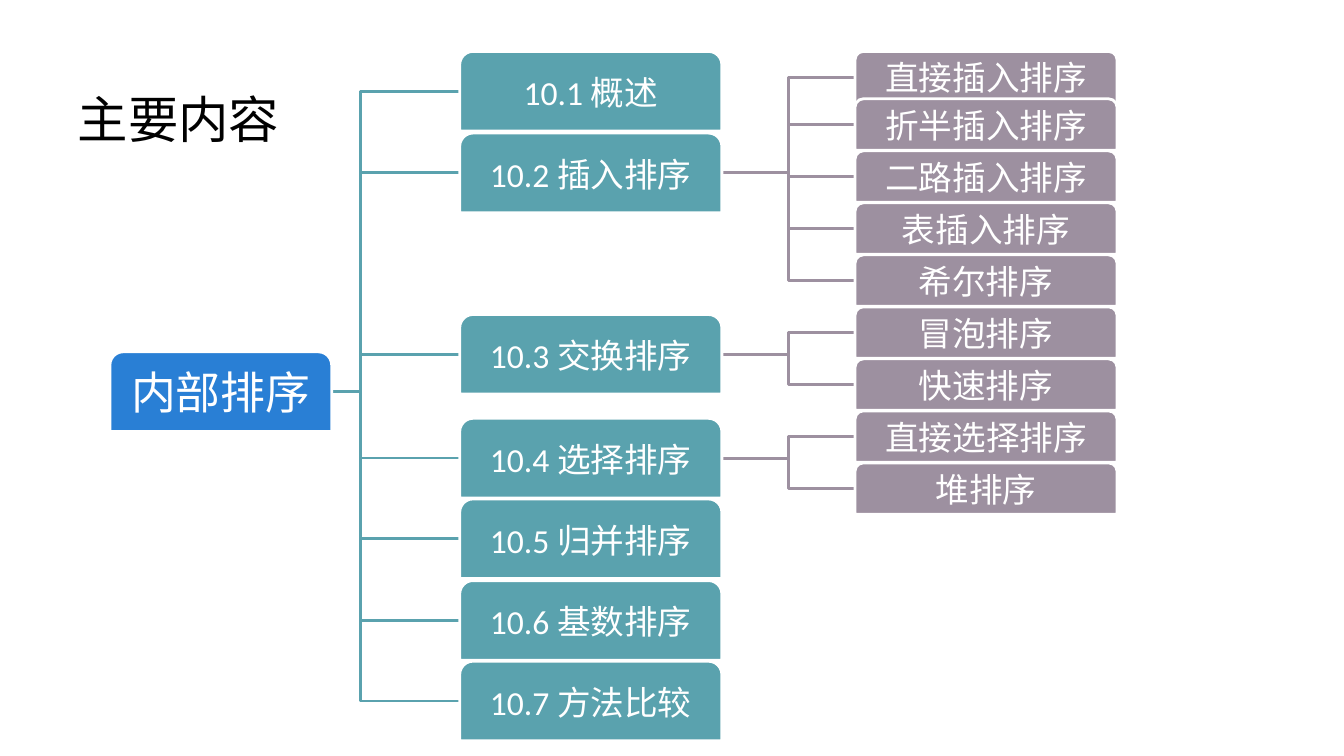
from dataclasses import dataclass

from lxml.etree import SubElement
from pptx import Presentation
from pptx.dml.color import RGBColor
from pptx.enum.shapes import MSO_SHAPE
from pptx.enum.text import MSO_ANCHOR, PP_ALIGN
from pptx.oxml.ns import qn
from pptx.util import Inches, Pt


@dataclass(frozen=True)
class Theme:
    """Colours, fonts and type sizes of the slide."""
    black: RGBColor = RGBColor.from_string("000000")
    white: RGBColor = RGBColor.from_string("FFFFFF")
    root: RGBColor = RGBColor.from_string("297FD5")
    section: RGBColor = RGBColor.from_string("5AA2AE")
    method: RGBColor = RGBColor.from_string("9D90A0")
    latin: str = "Calibri"
    chinese: str = "Noto Sans CJK SC"
    title_size: int = 36
    root_size: int = 32
    node_size: int = 24
    line_width: int = 2


@dataclass(frozen=True)
class Level:
    """Place, size and look shared by the boxes of one tree level."""
    left: float
    width: float
    height: float
    color: RGBColor
    size: int


THEME = Theme()
ROOT = Level(1.09, 2.2, 0.79, THEME.root, THEME.root_size)
SECTION = Level(4.56, 2.6, 0.79, THEME.section, THEME.node_size)
METHOD = Level(8.48, 2.6, 0.51, THEME.method, THEME.node_size)

ROOT_TOP = 3.49
FIRST_METHOD_TOP = 0.51
SECOND_METHOD_TOP = 0.98
METHOD_STEP = 0.516

SECTIONS = [
    ("10.1 概述", 0.51, []),
    ("10.2 插入排序", 1.32,
     ["直接插入排序", "折半插入排序", "二路插入排序", "表插入排序", "希尔排序"]),
    ("10.3 交换排序", 3.12, ["冒泡排序", "快速排序"]),
    ("10.4 选择排序", 4.15, ["直接选择排序", "堆排序"]),
    ("10.5 归并排序", 4.95, []),
    ("10.6 基数排序", 5.76, []),
    ("10.7 方法比较", 6.56, []),
]


def style_paragraph(para, size, color, latin, align):
    """Set the alignment and font of a paragraph."""
    para.alignment = align
    font = para.font
    font.size = Pt(size)
    font.color.rgb = color
    font.name = latin
    SubElement(para._p.pPr.find(qn("a:defRPr")), qn("a:ea"), typeface=THEME.chinese)


def add_title(page, text):
    """Fill and place the title placeholder."""
    title = page.shapes.title
    title.left, title.top = Inches(0.67), Inches(0.8)
    title.width, title.height = Inches(12), Inches(0.75)
    frame = title.text_frame
    frame.text = text
    frame.vertical_anchor = MSO_ANCHOR.MIDDLE
    style_paragraph(frame.paragraphs[0], THEME.title_size, THEME.black,
                    THEME.chinese, PP_ALIGN.LEFT)


def add_node(page, level, top, text):
    """Add one labelled box of the tree."""
    box = page.shapes.add_shape(
        MSO_SHAPE.ROUND_2_SAME_RECTANGLE, Inches(level.left), Inches(top),
        Inches(level.width), Inches(level.height))
    box.shadow.inherit = False
    box.fill.solid()
    box.fill.fore_color.rgb = level.color
    box.line.color.rgb = THEME.white
    box.line.width = Pt(THEME.line_width)
    frame = box.text_frame
    frame.word_wrap = True
    frame.vertical_anchor = MSO_ANCHOR.MIDDLE
    frame.margin_left = frame.margin_right = Inches(0.05)
    frame.margin_top, frame.margin_bottom = Inches(0.05), Inches(0.02)
    frame.text = text
    para = frame.paragraphs[0]
    para.line_spacing = 0.9
    style_paragraph(para, level.size, THEME.white, THEME.latin, PP_ALIGN.CENTER)


def add_branch(page, start_x, parent, parent_top, child, child_top):
    """Add the elbow line from a parent box to a child box."""
    start_y = parent_top + parent.height / 2
    end_y = child_top + child.height / 2
    middle_x = (start_x + child.left) / 2
    builder = page.shapes.build_freeform(Inches(start_x), Inches(start_y))
    builder.add_line_segments(
        [(Inches(x), Inches(y)) for x, y in
         [(middle_x, start_y), (middle_x, end_y), (child.left, end_y)]],
        close=False)
    branch = builder.convert_to_shape()
    branch.shadow.inherit = False
    branch.fill.background()
    branch.line.color.rgb = child.color
    branch.line.width = Pt(THEME.line_width)


def place_methods():
    """List each method with its section top and its own top."""
    pairs = [(section_top, name) for _, section_top, names in SECTIONS for name in names]
    tops = [FIRST_METHOD_TOP] + [
        SECOND_METHOD_TOP + METHOD_STEP * row for row in range(len(pairs) - 1)]
    return [(section_top, name, top) for (section_top, name), top in zip(pairs, tops)]


def add_tree(page):
    """Draw the branches, then the boxes over them."""
    methods = place_methods()
    for _, top, _ in SECTIONS:
        add_branch(page, 2.59, ROOT, ROOT_TOP, SECTION, top)
    for section_top, _, top in methods:
        add_branch(page, SECTION.left + SECTION.width, SECTION, section_top, METHOD, top)
    add_node(page, ROOT, ROOT_TOP, "内部排序")
    for name, top, _ in SECTIONS:
        add_node(page, SECTION, top, name)
    for _, name, top in methods:
        add_node(page, METHOD, top, name)


def main():
    """Build and save the deck."""
    deck = Presentation()
    deck.slide_width, deck.slide_height = Inches(13.33), Inches(7.5)
    page = deck.slides.add_slide(deck.slide_layouts[5])
    add_title(page, "主要内容")
    add_tree(page)
    deck.save("out.pptx")


if __name__ == "__main__":
    main()
